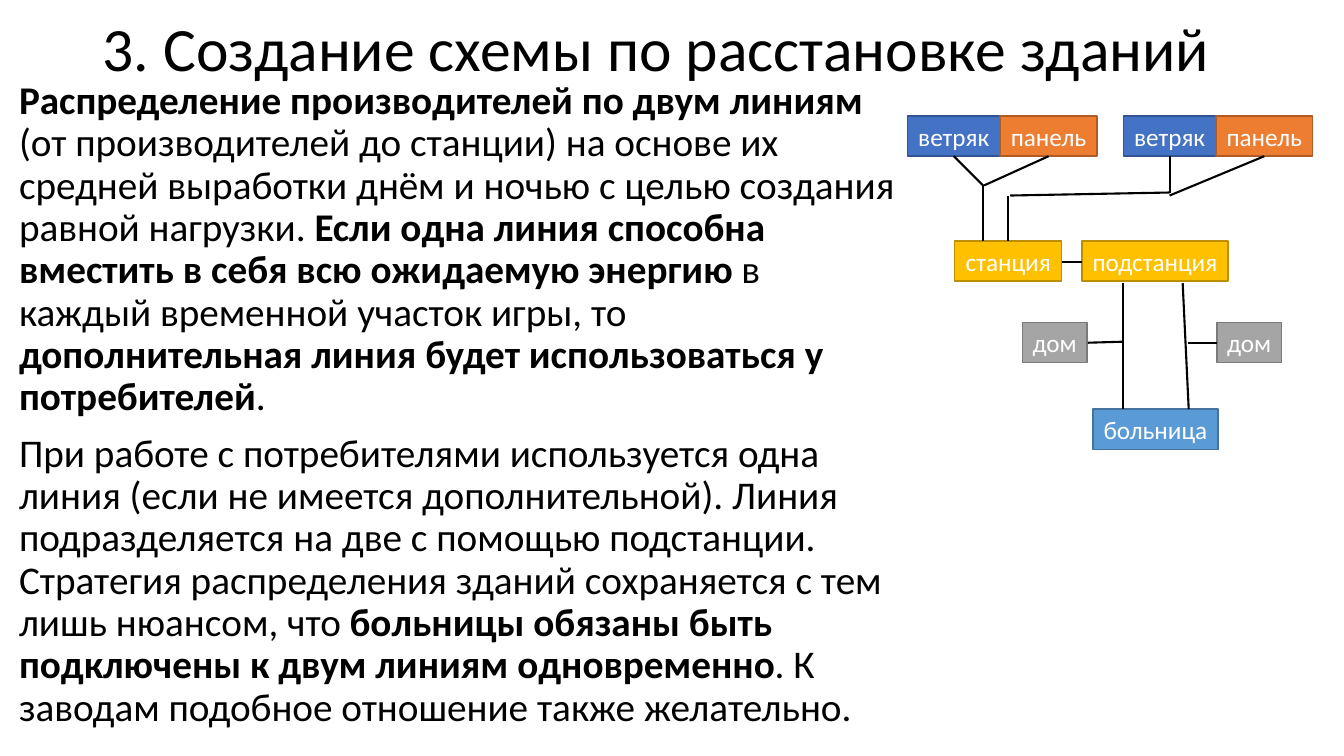
from pptx import Presentation
from pptx.dml.color import RGBColor
from pptx.enum.shapes import MSO_CONNECTOR, MSO_SHAPE
from pptx.enum.text import MSO_ANCHOR, MSO_AUTO_SIZE, PP_ALIGN
from pptx.oxml.ns import qn
from pptx.util import Inches, Pt
from lxml import etree

RECTANGLE = MSO_SHAPE.RECTANGLE
STRAIGHT = MSO_CONNECTOR.STRAIGHT
MIDDLE, TOP = MSO_ANCHOR.MIDDLE, MSO_ANCHOR.TOP
CENTER = PP_ALIGN.CENTER
FIT_SHAPE = MSO_AUTO_SIZE.SHAPE_TO_FIT_TEXT

FONT = "Calibri"
COLORS = {
    "text": "000000", "label": "FFFFFF", "wire": "000000",
    "wind": "4472C4", "wind_edge": "325491",
    "panel": "ED7D31", "panel_edge": "AF5C24",
    "station": "FFC000", "station_edge": "BD8E00",
    "hospital": "5B9BD5", "hospital_edge": "43739E",
    "house": "A5A5A5", "house_edge": "7A7A7A",
}


def color(name):
    return RGBColor.from_string(COLORS[name])


def add_run(paragraph, text, size, color_name, bold=False):
    run = paragraph.add_run()
    run.text = text
    run.font.name = FONT
    run.font.size = Pt(size)
    run.font.bold = bold
    run.font.color.rgb = color(color_name)


presentation = Presentation()
presentation.slide_width = Inches(13.33)
presentation.slide_height = Inches(7.5)
slide = presentation.slides.add_slide(presentation.slide_layouts[6])

title = [[("3. Создание схемы по расстановке зданий", False)]]
body = [
    [
        ("Распределение производителей по двум линиям", True),
        (" (от производителей до станции) на основе их средней выработки "
         "днём и ночью с целью создания равной нагрузки. ", False),
        ("Если одна линия способна вместить в себя всю ожидаемую энергию", True),
        (" в каждый временной участок игры, то ", False),
        ("дополнительная линия будет использоваться у потребителей", True),
        (".", False),
    ],
    [
        ("При работе с потребителями используется одна линия (если не имеется "
         "дополнительной). Линия подразделяется на две с помощью подстанции. "
         "Стратегия распределения зданий сохраняется с тем лишь нюансом, что ", False),
        ("больницы обязаны быть подключены к двум линиям одновременно", True),
        (". К заводам подобное отношение также желательно.", False),
    ],
]
text_blocks = [
    (title, 0.92, 0, 11.5, 1.03, 44, MIDDLE, 0),
    (body, 0.09, 0.75, 8.91, 6.75, 28, TOP, 10),
]
for paragraphs, left, top, width, height, size, anchor, space in text_blocks:
    text_box = slide.shapes.add_textbox(
        Inches(left), Inches(top), Inches(width), Inches(height))
    frame = text_box.text_frame
    frame.word_wrap = True
    frame.vertical_anchor = anchor
    for index, runs in enumerate(paragraphs):
        paragraph = frame.add_paragraph() if index else frame.paragraphs[0]
        paragraph.line_spacing = 0.9
        paragraph.space_before = Pt(space)
        for text, bold in runs:
            add_run(paragraph, text, size, "text", bold)

BUILDING_HEIGHT = 0.4
PRODUCER_TOP, STATION_TOP, HOUSE_TOP, HOSPITAL_TOP = 1.15, 2.39, 3.2, 4.06
buildings = []
for left in (9, 11.14):
    buildings.append(("ветряк", "wind", left, PRODUCER_TOP, 0.92))
    buildings.append(("панель", "panel", left + 0.92, PRODUCER_TOP, 0.96))
buildings += [
    ("станция", "station", 9.47, STATION_TOP, 1.06),
    ("подстанция", "station", 10.73, STATION_TOP, 1.45),
    ("больница", "hospital", 10.84, HOSPITAL_TOP, 1.24),
    ("дом", "house", 12.07, HOUSE_TOP, 0.64),
    ("дом", "house", 10.14, HOUSE_TOP, 0.64),
]
for label, kind, left, top, width in buildings:
    building = slide.shapes.add_shape(
        RECTANGLE, Inches(left), Inches(top), Inches(width), Inches(BUILDING_HEIGHT))
    building.shadow.inherit = False
    building.fill.solid()
    building.fill.fore_color.rgb = color(kind)
    building.line.color.rgb = color(kind + "_edge")
    building.line.width = Pt(1)
    frame = building.text_frame
    frame.word_wrap = False
    frame.auto_size = FIT_SHAPE
    frame.vertical_anchor = TOP
    paragraph = frame.paragraphs[0]
    paragraph.alignment = CENTER
    add_run(paragraph, label, 18, "label")

PRODUCER_BOTTOM = PRODUCER_TOP + BUILDING_HEIGHT
wires = [
    (9.75, STATION_TOP, 9.75, 1.84),
    (9.46, PRODUCER_BOTTOM, 9.75, 1.84),
    (9.76, 1.84, 10.4, PRODUCER_BOTTOM),
    (10, STATION_TOP, 10, 1.94),
    (11.6, 1.91, 11.6, PRODUCER_BOTTOM),
    (11.6, 1.94, 12.54, PRODUCER_BOTTOM),
    (10.02, 1.94, 11.6, 1.91),
    (10.53, 2.6, 10.73, 2.6),
    (11.14, HOSPITAL_TOP, 11.14, 2.81),
    (11.73, 2.81, 11.79, HOSPITAL_TOP),
    (10.79, 3.4, 11.14, 3.39),
    (12.07, 3.4, 11.78, 3.4),
]
for ends in wires:
    wire = slide.shapes.add_connector(STRAIGHT, *map(Inches, ends))
    wire.line.color.rgb = color("wire")
    wire.line.width = Pt(1.5)
    etree.SubElement(wire._element.spPr, qn("a:effectLst"))

presentation.save("out.pptx")
